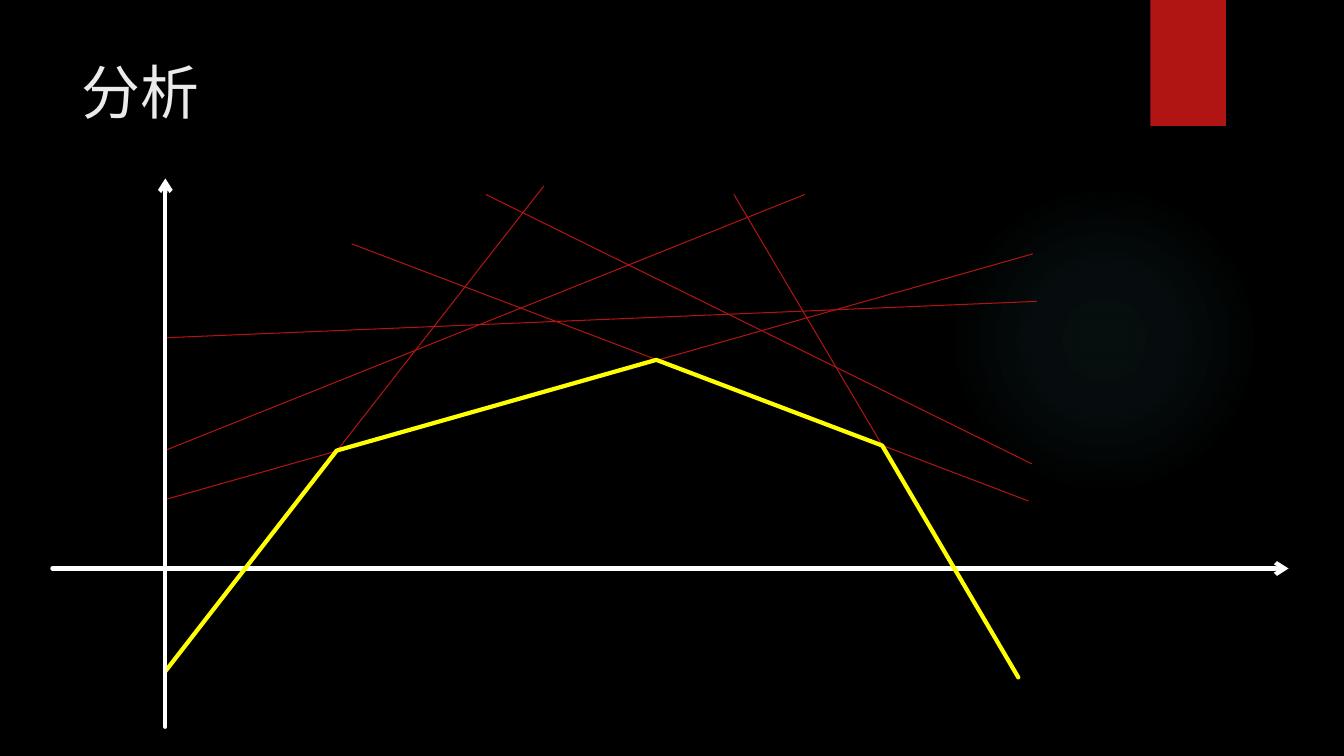
import pptx
import pptx.dml.color
import pptx.enum.shapes
import pptx.enum.text
import pptx.oxml
import pptx.oxml.ns
import pptx.util

Inches = pptx.util.Inches
Pt = pptx.util.Pt
SHAPES = pptx.enum.shapes.MSO_SHAPE

WHITE = "FFFFFF"
RED = "B01513"
YELLOW = "FFFF00"
TEAL = "50B9C1"

PLANE_LINES = [
    ((1.64, 6.65), (5.39, 1.85)),
    ((1.66, 4.95), (10.24, 2.52)),
    ((3.49, 2.42), (10.2, 4.97)),
    ((7.28, 1.93), (10.11, 6.72)),
    ((1.66, 3.35), (10.28, 2.99)),
    ((4.82, 1.93), (10.23, 4.6)),
    ((1.66, 4.46), (7.98, 1.93)),
]
LOWER_ENVELOPE = [(1.64, 6.66), (3.34, 4.47), (6.51, 3.57), (8.75, 4.42), (10.1, 6.72)]


def color(value):
    return pptx.dml.color.RGBColor.from_string(value)


def element(markup):
    return pptx.oxml.parse_xml(markup.replace(">", f" {pptx.oxml.ns.nsdecls('a')}>", 1))


class SlideBuilder:
    font = "TeX Gyre Adventor"

    def __init__(self, slide):
        self.slide = slide
        self.shapes = slide.shapes

    def background(self, value):
        fill = self.slide.background.fill
        fill.solid()
        fill.fore_color.rgb = color(value)

    def title(self, text, box, size, value):
        shape = self.shapes.title
        shape.left, shape.top, shape.width, shape.height = map(Inches, box)
        frame = shape.text_frame
        frame.word_wrap = True
        frame.vertical_anchor = pptx.enum.text.MSO_ANCHOR.TOP
        paragraph = frame.paragraphs[0]
        paragraph.alignment = pptx.enum.text.PP_ALIGN.LEFT
        run = paragraph.add_run()
        run.text = text
        run.font.name = self.font
        run.font.size = Pt(size)
        run.font.color.rgb = color(value)

    def block(self, kind, box, value):
        shape = self.shapes.add_shape(kind, *map(Inches, box))
        shape.shadow.inherit = False
        shape.line.fill.background()
        shape.fill.solid()
        shape.fill.fore_color.rgb = color(value)
        return shape

    def glow(self, box, value, stops):
        shape = self.block(SHAPES.OVAL, box, value)
        marks = "".join(
            f'<a:gs pos="{position * 1000}"><a:srgbClr val="{value}">'
            f'<a:alpha val="{alpha * 1000}"/></a:srgbClr></a:gs>'
            for position, alpha in stops
        )
        gradient = element(
            f'<a:gradFill><a:gsLst>{marks}</a:gsLst><a:path path="circle">'
            '<a:fillToRect l="50000" t="50000" r="50000" b="50000"/></a:path></a:gradFill>'
        )
        properties = shape.element.spPr
        properties.replace(properties.find(pptx.oxml.ns.qn("a:solidFill")), gradient)

    def stroke(self, shape, value, width):
        shape.line.color.rgb = color(value)
        shape.line.width = Pt(width)
        outline = shape.line.fill._xPr
        outline.set("cap", "rnd")
        outline.append(element("<a:round></a:round>"))
        return outline

    def line(self, start, end, value, width, arrow=False):
        connector = self.shapes.add_connector(
            pptx.enum.shapes.MSO_CONNECTOR.STRAIGHT, *map(Inches, start + end)
        )
        outline = self.stroke(connector, value, width)
        if arrow:
            outline.append(element('<a:tailEnd type="arrow"></a:tailEnd>'))
        connector.element.spPr.append(element("<a:effectLst></a:effectLst>"))

    def polyline(self, points, value, width):
        corners = [tuple(map(Inches, point)) for point in points]
        builder = self.shapes.build_freeform(*corners[0])
        builder.add_line_segments(corners[1:], close=False)
        shape = builder.convert_to_shape()
        shape.shadow.inherit = False
        shape.fill.background()
        self.stroke(shape, value, width)


def main():
    presentation = pptx.Presentation()
    presentation.slide_width = Inches(13.33)
    presentation.slide_height = Inches(7.5)
    builder = SlideBuilder(presentation.slides.add_slide(presentation.slide_layouts[5]))

    builder.background("000000")
    builder.glow((9.41, 1.83, 3.08, 3.08), TEAL, [(0, 7), (36, 6), (69, 0)])
    builder.block(SHAPES.RECTANGLE, (11.41, 0, 0.75, 1.25), RED)
    builder.title("分析", (0.71, 0.5, 10.29, 1.53), 42, "EBEBEB")
    for start, end in PLANE_LINES:
        builder.line(start, end, RED, 0.75)
    builder.line((0.52, 5.64), (12.78, 5.64), WHITE, 3, arrow=True)
    builder.polyline(LOWER_ENVELOPE, YELLOW, 3)
    builder.line((1.64, 7.21), (1.64, 1.77), WHITE, 3, arrow=True)
    presentation.save("out.pptx")


if __name__ == "__main__":
    main()
